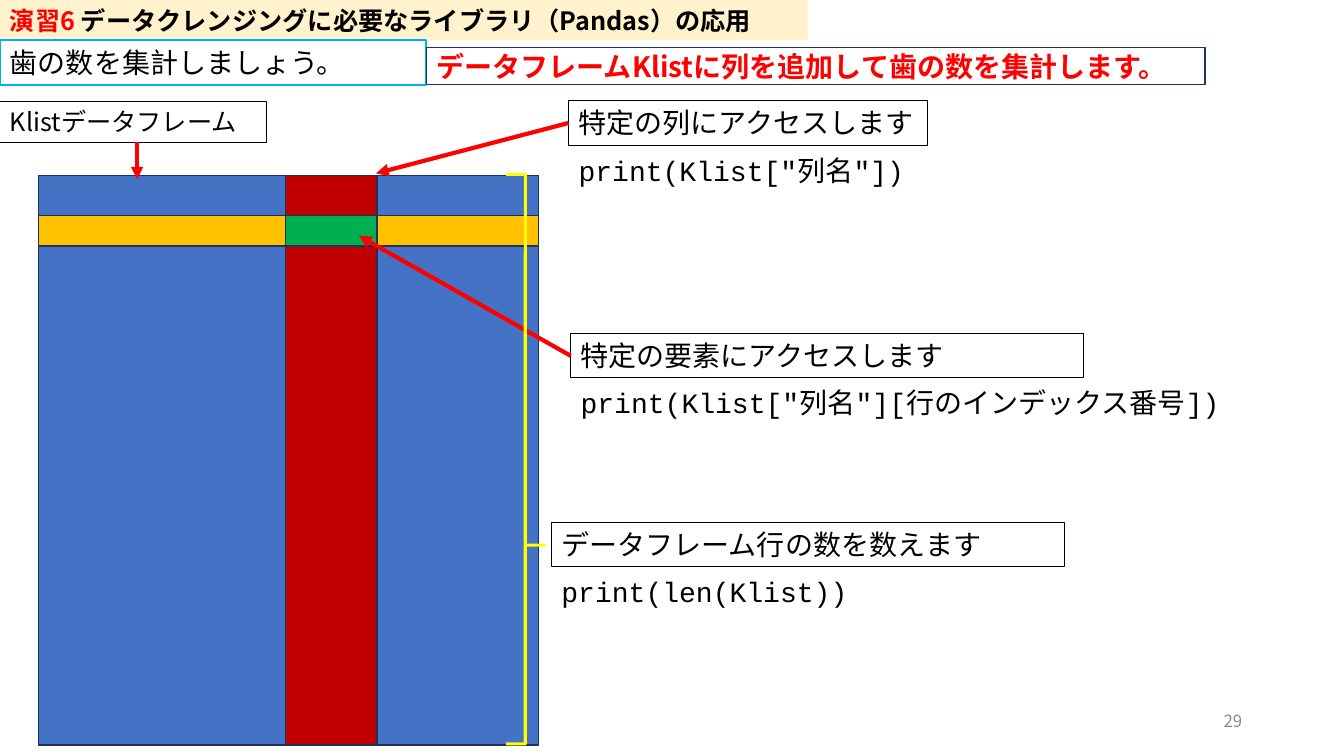
from lxml import etree
from pptx import Presentation, util as u
from pptx.dml.color import RGBColor
from pptx.enum import shapes, text
from pptx.oxml.ns import qn

PX = u.Inches(1) // 100
SANS, CODE = "Noto Sans CJK JP", "Courier New"
RED, BLACK, NAVY, WHITE = "FF0000", "000000", "1E3256", "FFFFFF"


def px(*lengths):
    """Turn whole px lengths into EMU."""
    return [u.Emu(length * PX) for length in lengths]


def color(value):
    """Return the colour of a hex string."""
    return RGBColor.from_string(value)


def paint(shape, fill=None, line=None, width=1.0):
    """Set the fill and outline of a shape."""
    if fill:
        shape.fill.solid()
        shape.fill.fore_color.rgb = color(fill)
    else:
        shape.fill.background()
    if line:
        shape.line.color.rgb = color(line)
        shape.line.width = u.Pt(width)
    else:
        shape.line.fill.background()


def add_label(page, box, spans, size=20, font=SANS, bold=False, middle=False,
              fill=None, line=None, width=0.75):
    """Place a text box holding one paragraph of (text, colour) spans."""
    label = page.shapes.add_textbox(*px(*box))
    paint(label, fill, line, width)
    frame = label.text_frame
    frame.word_wrap = True
    if middle:
        frame.vertical_anchor = text.MSO_ANCHOR.MIDDLE
    else:
        frame.auto_size = text.MSO_AUTO_SIZE.SHAPE_TO_FIT_TEXT
    for words, ink in spans:
        span = frame.paragraphs[0].add_run()
        span.text = words
        span.font.size = u.Pt(size)
        span.font.bold = bold
        span.font.name = font
        span.font.color.rgb = color(ink)
        east_asian = etree.SubElement(span.font._element, qn("a:ea"))
        east_asian.set("typeface", SANS)
    return label


def add_arrow(page, start, end, source=None):
    """Draw a red arrow, joined to the left side of its source if given."""
    arrow = page.shapes.add_connector(
        shapes.MSO_CONNECTOR.STRAIGHT, *px(*start, *end))
    if source is not None:
        arrow.begin_connect(source, 1)
    arrow.line.color.rgb = color(RED)
    arrow.line.width = u.Pt(3)
    line = arrow.line._get_or_add_ln()
    etree.SubElement(line, qn("a:tailEnd")).set("type", "triangle")
    etree.SubElement(arrow._element.spPr, qn("a:effectLst"))


def add_header(page, left, top):
    """Place the title bar and the two task boxes under it."""
    add_label(page, (left, top, 801, 40),
              [("演習6 ", RED),
               ("データクレンジングに必要なライブラリ（Pandas）の応用", BLACK)],
              size=18, bold=True, fill="FFF2CC")
    add_label(page, (left, top + 40, 423, 44),
              [("歯の数を集計しましょう。", BLACK)], line="00B0F0", width=1.5)
    add_label(page, (left + 423, top + 47, 772, 37),
              [("データフレームKlistに列を追加して歯の数を集計します。", RED)],
              bold=True, middle=True, fill=WHITE, line=NAVY, width=1)


def add_data_frame(page, left, top, width, height):
    """Draw the data frame with one column, one row and their shared cell."""
    column, column_width = left + 245, 91
    row, row_height = top + 40, 30
    for box, fill in (
            ((left, top, width, height), "4472C4"),
            ((column, top, column_width, height), "C00000"),
            ((left, row, width, row_height), "FFC000"),
            ((column, row, column_width, row_height), "00B050")):
        block = page.shapes.add_shape(shapes.MSO_SHAPE.RECTANGLE, *px(*box))
        block.shadow.inherit = False
        paint(block, fill, NAVY)


def add_row_brace(page, left, top, width, height):
    """Draw the yellow brace that spans all rows."""
    brace = page.shapes.add_shape(
        shapes.MSO_SHAPE.RIGHT_BRACE, *px(left, top, width, height))
    brace.shadow.inherit = False
    brace.adjustments[0] = 0
    brace.adjustments[1] = 0.651
    paint(brace, line="FFFF00", width=2.25)


def add_note(page, left, top, width, caption, code, code_width):
    """Place a framed caption with its code line below and return the caption."""
    note = add_label(page, (left, top, width, 44), [(caption, BLACK)],
                     line=BLACK)
    add_label(page, (left, top + 47, code_width, 44), [(code, BLACK)],
              font=CODE)
    return note


def add_page_number(page, left, top, width, height):
    """Place the page number at the right of its box."""
    label = add_label(page, (left, top, width, height), [("29", "8C8C8C")],
                      size=12, middle=True)
    label.text_frame.paragraphs[0].alignment = text.PP_ALIGN.RIGHT


def build_page(page):
    """Place every region of the slide."""
    add_page_number(page, 942, 695, 300, 40)
    add_header(page, 0, 0)
    add_data_frame(page, 38, 174, 496, 565)
    add_label(page, (0, 101, 264, 40), [("Klistデータフレーム", BLACK)],
              size=18, line=BLACK)
    add_arrow(page, (136, 141), (136, 178))
    column_note = add_note(page, 564, 100, 356, "特定の列にアクセスします",
                           'print(Klist["列名"])', 373)
    add_arrow(page, (564, 122), (373, 172), column_note)
    add_note(page, 547, 518, 509, "データフレーム行の数を数えます",
             "print(len(Klist))", 313)
    cell_note = add_note(page, 566, 331, 509, "特定の要素にアクセスします",
                         'print(Klist["列名"][行のインデックス番号])', 675)
    add_arrow(page, (566, 353), (356, 234), cell_note)
    add_row_brace(page, 502, 173, 38, 565)


def main():
    """Build and save the deck."""
    deck = Presentation()
    deck.slide_width, deck.slide_height = px(1333, 750)
    build_page(deck.slides.add_slide(deck.slide_layouts[6]))
    deck.save("out.pptx")


if __name__ == "__main__":
    main()
